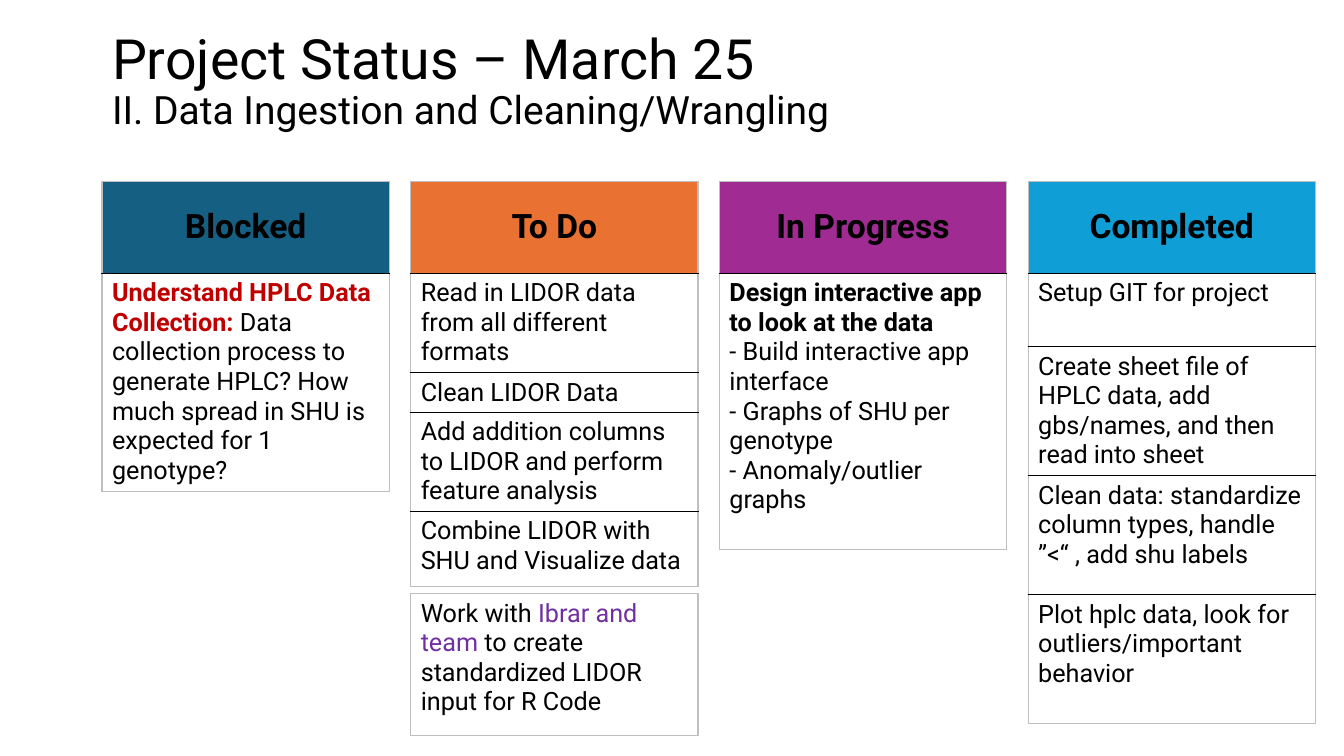
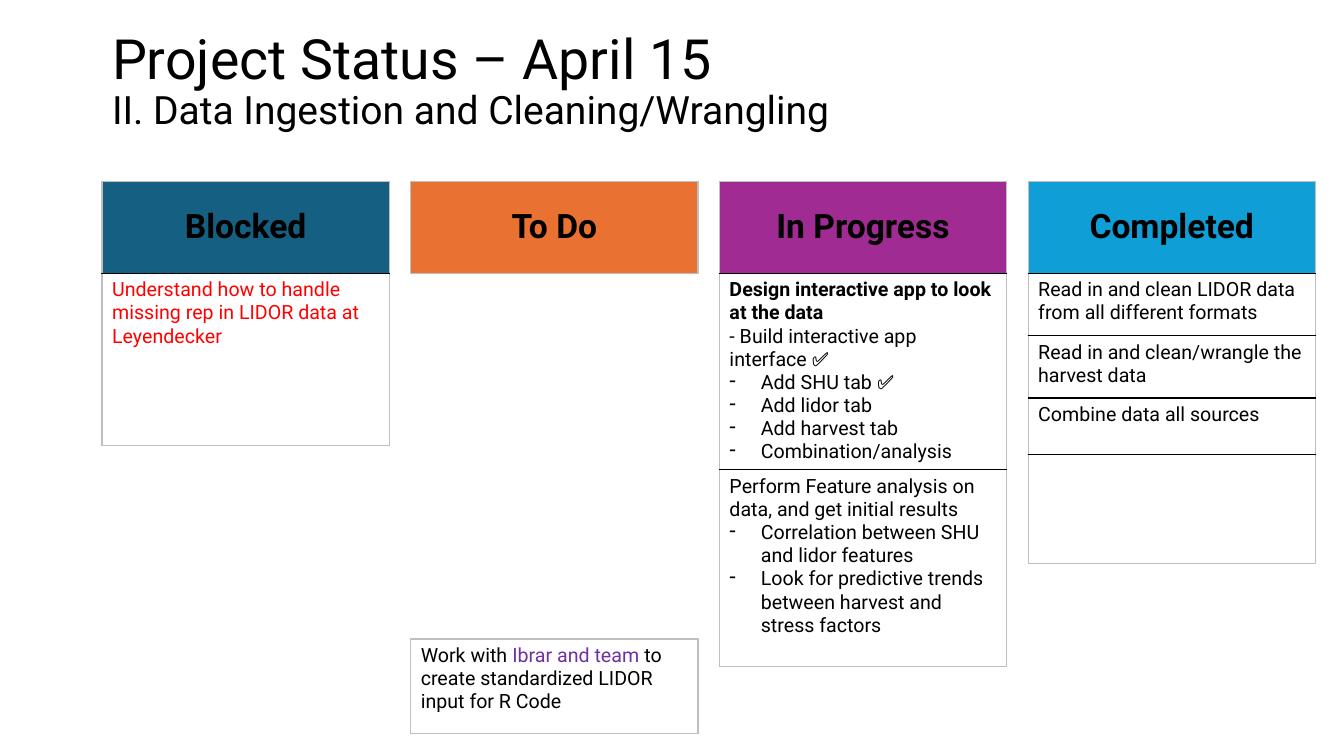
from dataclasses import dataclass

from lxml.etree import SubElement
from pptx import Presentation
from pptx.dml.color import RGBColor
from pptx.enum.text import MSO_ANCHOR, PP_ALIGN
from pptx.oxml.ns import qn
from pptx.util import Cm, Pt

FONT = "Roboto"
COLOURS = {
    "text": "000000",
    "divider": "000000",
    "edge": "BFBFBF",
    "Blocked": "156082",
    "To Do": "E97132",
    "In Progress": "A02B93",
    "Completed": "0F9ED5",
    "blocker": "C00000",
    "urgent": "FF0000",
    "team": "7030A0",
}
STAGES = ["Blocked", "To Do", "In Progress", "Completed"]

# Board grid, in cm
BOARD_LEFT, BOARD_TOP = 2.57, 4.57
COLUMN_WIDTH, COLUMN_PITCH = 7.24, 7.78
HEADER_HEIGHT = 2.32
BULLET_INDENT = 0.79


@dataclass
class Phrase:
    text: str
    colour: str = "text"
    bold: bool = False


@dataclass
class Line:
    phrases: list
    bullet: bool = False


@dataclass
class Task:
    height: float
    lines: list


def task(height, *lines):
    """Make a task; a plain string is a line, a leading tab makes it a bullet."""
    made = []
    for line in lines:
        if isinstance(line, str):
            made.append(Line([Phrase(line.lstrip("\t"))], line.startswith("\t")))
        else:
            made.append(Line(line))
    return Task(height, made)


def team_task(height):
    return task(height, [Phrase("Work with "), Phrase("Ibrar and team ", "team"),
                         Phrase("to create standardized LIDOR input for R Code")])


APP_HEADING = [Phrase("Design interactive app to look at the data", bold=True)]

REPORTS = [
    {
        "date": "March 25",
        "size": 18,
        "board": {
            "Blocked": [
                task(5.49, [
                    Phrase("Understand HPLC Data Collection: ", "blocker", True),
                    Phrase("Data collection process to generate HPLC? How much "
                           "spread in SHU is expected for 1 genotype?")]),
            ],
            "To Do": [
                task(2.5, "Read in LIDOR data from all different formats"),
                task(1, "Clean LIDOR Data"),
                task(2.5, "Add addition columns to LIDOR and perform feature analysis"),
                task(1.88, "Combine LIDOR with SHU and Visualize data"),
            ],
            "In Progress": [
                task(6.96, APP_HEADING, "- Build interactive app interface",
                     "- Graphs of SHU per genotype", "- Anomaly/outlier graphs"),
            ],
            "Completed": [
                task(1.85, "Setup GIT for project"),
                task(3.25, "Create sheet file of HPLC data, add gbs/names, "
                           "and then read into sheet"),
                task(3, "Clean data: standardize column types, handle ”<“ , add shu labels"),
                task(3.25, "Plot hplc data, look for outliers/important behavior"),
            ],
        },
        "team_top": 14.96,
        "team_height": 3.58,
    },
    {
        "date": "April 15",
        "size": 14,
        "board": {
            "Blocked": [
                task(4.34, [Phrase("Understand how to handle missing rep in LIDOR "
                                   "data at Leyendecker", "urgent")]),
            ],
            "To Do": [],
            "In Progress": [
                task(4.95, APP_HEADING, "- Build interactive app interface ✅",
                     "\tAdd SHU tab ✅", "\tAdd lidor tab", "\tAdd harvest tab",
                     "\tCombination/analysis"),
                task(4.95, "Perform Feature analysis on data, and get initial results",
                     "\tCorrelation between SHU and lidor features",
                     "\tLook for predictive trends between harvest and stress factors"),
            ],
            "Completed": [
                task(1.57, "Read in and clean LIDOR data from all different formats"),
                task(1.57, "Read in and clean/wrangle the harvest data"),
                task(1.42, "Combine data all sources"),
                task(2.74),
            ],
        },
        "team_top": 16.1,
        "team_height": 2.39,
    },
]


def rgb(name):
    return RGBColor.from_string(COLOURS[name])


def add_phrase(paragraph, phrase, size):
    run = paragraph.add_run()
    run.text = phrase.text
    for attribute, value in {"name": FONT, "size": Pt(size), "bold": phrase.bold}.items():
        setattr(run.font, attribute, value)
    run.font.color.rgb = rgb(phrase.colour)


def set_bullet(paragraph):
    properties = paragraph._p.get_or_add_pPr()
    properties.set("marL", str(Cm(BULLET_INDENT)))
    properties.set("indent", str(-Cm(BULLET_INDENT)))
    SubElement(properties, qn("a:buChar"), char="-")


def write_lines(frame, lines, size):
    for index, line in enumerate(lines):
        paragraph = frame.add_paragraph() if index else frame.paragraphs[0]
        if line.bullet:
            set_bullet(paragraph)
        for phrase in line.phrases:
            add_phrase(paragraph, phrase, size)


def set_borders(cell, is_first, is_last):
    """Draw pale outer edges and dark dividers between rows."""
    sides = {
        "L": "edge",
        "R": "edge",
        "T": "edge" if is_first else "divider",
        "B": "edge" if is_last else "divider",
    }
    properties = cell._tc.get_or_add_tcPr()
    for side, colour in sides.items():
        border = SubElement(properties, qn(f"a:ln{side}"), w=str(Pt(1)))
        fill = SubElement(border, qn("a:solidFill"))
        SubElement(fill, qn("a:srgbClr"), val=COLOURS[colour])


def add_tasks(slide, left, top, tasks, size, stage=None):
    """Place one column of tasks, headed by its stage if one is given."""
    heights = [HEADER_HEIGHT] * bool(stage) + [item.height for item in tasks]
    table = slide.shapes.add_table(len(heights), 1, Cm(left), Cm(top),
                                   Cm(COLUMN_WIDTH), Cm(sum(heights))).table
    table.first_row = table.horz_banding = False
    cells = [table.cell(row, 0) for row in range(len(heights))]
    for index, (cell, height) in enumerate(zip(cells, heights)):
        table.rows[index].height = Cm(height)
        set_borders(cell, index == 0, index == len(heights) - 1)
        cell.fill.background()
    if stage:
        header = cells.pop(0)
        header.fill.solid()
        header.fill.fore_color.rgb = rgb(stage)
        header.vertical_anchor = MSO_ANCHOR.MIDDLE
        write_lines(header.text_frame, [Line([Phrase(stage, bold=True)])], 24)
        header.text_frame.paragraphs[0].alignment = PP_ALIGN.CENTER
    for cell, item in zip(cells, tasks):
        write_lines(cell.text_frame, item.lines, size)


def set_title(slide, date):
    title = slide.shapes.title
    box = {"left": 2.57, "top": 0.74, "width": 26.67, "height": 4.11}
    for attribute, value in box.items():
        setattr(title, attribute, Cm(value))
    frame = title.text_frame
    frame.vertical_anchor = MSO_ANCHOR.TOP
    frame.margin_top = Cm(0.05)
    headings = {f"Project Status – {date}": 39.6,
                "II. Data Ingestion and Cleaning/Wrangling": 27.9}
    for index, (text, size) in enumerate(headings.items()):
        paragraph = frame.add_paragraph() if index else frame.paragraphs[0]
        for attribute, value in {"alignment": PP_ALIGN.LEFT, "line_spacing": 0.9,
                                 "space_before": Pt(0)}.items():
            setattr(paragraph, attribute, value)
        add_phrase(paragraph, Phrase(text), size)


def add_status_slide(presentation, report):
    slide = presentation.slides.add_slide(presentation.slide_layouts[5])
    set_title(slide, report["date"])
    lefts = {stage: BOARD_LEFT + index * COLUMN_PITCH for index, stage in enumerate(STAGES)}
    for stage, left in lefts.items():
        add_tasks(slide, left, BOARD_TOP, report["board"][stage], report["size"], stage)
    add_tasks(slide, lefts["To Do"], report["team_top"],
              [team_task(report["team_height"])], report["size"])


def main():
    presentation = Presentation()
    presentation.slide_width, presentation.slide_height = Cm(33.87), Cm(19.05)
    for report in REPORTS:
        add_status_slide(presentation, report)
    presentation.save("out.pptx")


if __name__ == "__main__":
    main()
